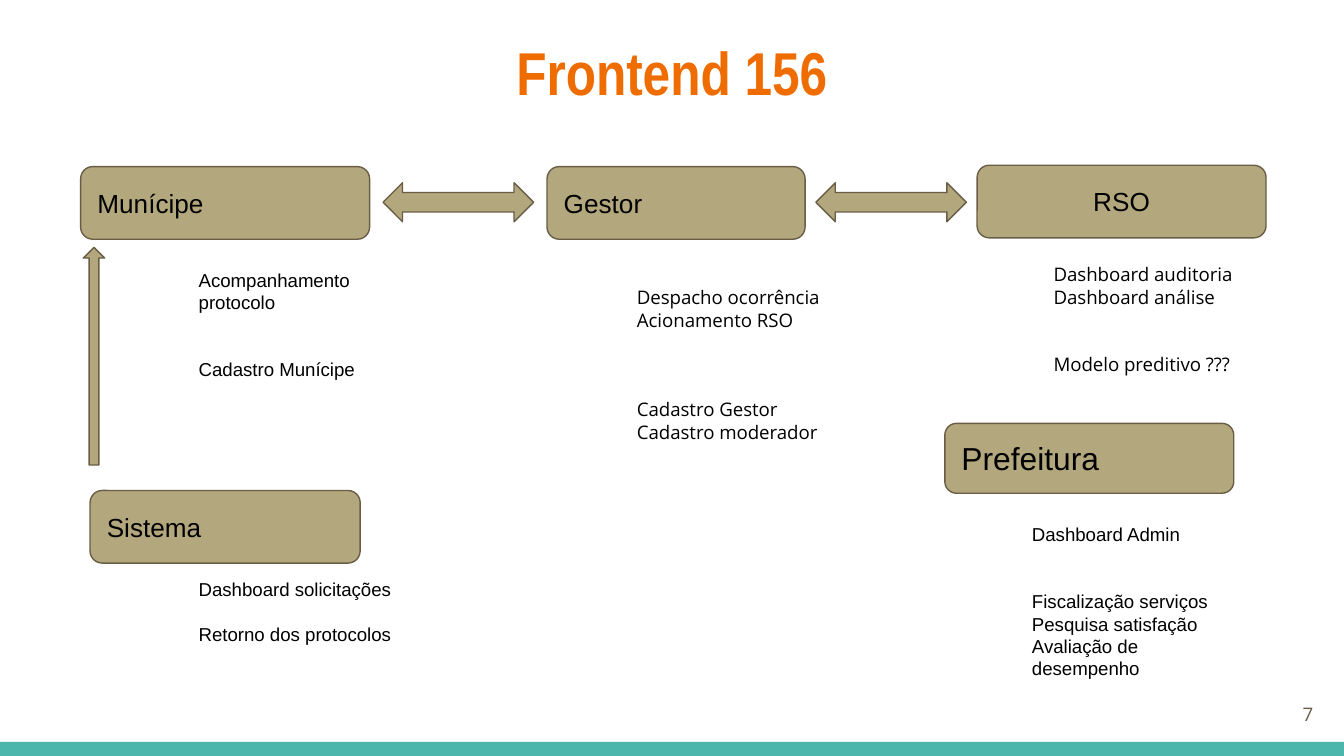
from dataclasses import dataclass

from pptx import Presentation
from pptx.dml.color import RGBColor
from pptx.enum.shapes import MSO_SHAPE
from pptx.enum.text import MSO_ANCHOR, PP_ALIGN
from pptx.util import Inches, Pt

TAN, BROWN, TEAL, ORANGE, BLACK = "B3A77D", "695D46", "4DB6AC", "EF6C00", "000000"
LINE_HEIGHT = 12  # points


@dataclass
class Actor:
    name: str
    left: float
    top: float
    width: float
    height: float = 0.54
    size: float = 14
    align: PP_ALIGN = PP_ALIGN.LEFT


@dataclass
class Features:
    left: float
    top: float
    width: float
    height: float
    font: str
    lines: list[tuple[str, int]]  # text, empty lines above it


@dataclass
class Arrow:
    kind: MSO_SHAPE
    left: float
    top: float
    width: float
    height: float
    shaft: float = 0.5


ACTORS = [
    Actor("Sistema", 0.67, 3.65, 2.01),
    Actor("Munícipe", 0.6, 1.24, 2.15),
    Actor("Gestor", 4.07, 1.24, 1.92),
    Actor("Prefeitura", 7.03, 3.15, 2.15, height=0.52, size=17),
    Actor("RSO", 7.27, 1.23, 2.15, align=PP_ALIGN.CENTER),
]
ARROWS = [
    Arrow(MSO_SHAPE.UP_ARROW, 0.62, 1.84, 0.16, 1.62, shaft=0.45),
    Arrow(MSO_SHAPE.LEFT_RIGHT_ARROW, 2.85, 1.36, 1.12, 0.29),
    Arrow(MSO_SHAPE.LEFT_RIGHT_ARROW, 6.07, 1.36, 1.12, 0.29),
]
FEATURES = [
    Features(1.38, 1.9, 1.92, 1.04, "Arial",
             [("Acompanhamento protocolo", 0), ("Cadastro Munícipe", 2)]),
    Features(1.38, 4.2, 1.66, 0.71, "Arial",
             [("Dashboard solicitações", 0), ("Retorno dos protocolos", 1)]),
    Features(7.58, 3.79, 1.82, 1.62, "Arial",
             [("Dashboard Admin", 0), ("Fiscalização serviços", 2),
              ("Pesquisa satisfação", 0), ("Avaliação de desempenho", 0)]),
    Features(7.74, 1.86, 1.82, 1.04, "Open Sans",
             [("Dashboard auditoria", 0), ("Dashboard análise", 0),
              ("Modelo preditivo ???", 2)]),
    Features(4.64, 2.03, 1.66, 1.38, "Open Sans",
             [("Despacho ocorrência", 0), ("Acionamento RSO", 0),
              ("Cadastro Gestor", 3), ("Cadastro moderador", 0)]),
]


def rgb(color: str) -> RGBColor:
    return RGBColor.from_string(color)


def set_up_frame(frame, anchor=MSO_ANCHOR.TOP) -> None:
    frame.word_wrap = True
    frame.vertical_anchor = anchor
    frame.margin_left = frame.margin_right = Inches(0.1)
    frame.margin_top = frame.margin_bottom = Inches(0.1)


def write(para, text: str, *, size: float, font: str = "Arial", color: str = BLACK,
          bold: bool = False, align: PP_ALIGN = PP_ALIGN.LEFT) -> None:
    para.alignment = align
    span = para.add_run()
    span.text = text
    span.font.size = Pt(size)
    span.font.name = font
    span.font.bold = bold
    span.font.color.rgb = rgb(color)


def add_filled(page, kind: MSO_SHAPE, left: float, top: float, width: float,
               height: float, fill: str = TAN, line: str | None = BROWN):
    shape = page.shapes.add_shape(kind, Inches(left), Inches(top),
                                  Inches(width), Inches(height))
    shape.shadow.inherit = False
    shape.fill.solid()
    shape.fill.fore_color.rgb = rgb(fill)
    if line:
        shape.line.color.rgb = rgb(line)
        shape.line.width = Pt(0.75)
    else:
        shape.line.fill.background()
    return shape


def add_text_box(page, left: float, top: float, width: float, height: float,
                 anchor=MSO_ANCHOR.TOP):
    box = page.shapes.add_textbox(Inches(left), Inches(top),
                                  Inches(width), Inches(height))
    set_up_frame(box.text_frame, anchor)
    return box.text_frame


def add_actor(page, actor: Actor) -> None:
    box = add_filled(page, MSO_SHAPE.ROUNDED_RECTANGLE, actor.left, actor.top,
                     actor.width, actor.height)
    set_up_frame(box.text_frame, MSO_ANCHOR.MIDDLE)
    write(box.text_frame.paragraphs[0], actor.name, size=actor.size, align=actor.align)


def add_features(page, features: Features) -> None:
    frame = add_text_box(page, features.left, features.top,
                         features.width, features.height)
    for index, (text, gap) in enumerate(features.lines):
        para = frame.add_paragraph() if index else frame.paragraphs[0]
        para.line_spacing = Pt(LINE_HEIGHT)
        para.space_before = Pt(gap * LINE_HEIGHT)
        write(para, text, size=10, font=features.font)


def add_arrow(page, arrow: Arrow) -> None:
    shape = add_filled(page, arrow.kind, arrow.left, arrow.top, arrow.width, arrow.height)
    shape.adjustments[0] = arrow.shaft
    shape.adjustments[1] = 0.5


def main() -> None:
    deck = Presentation()
    deck.slide_width = Inches(10)
    deck.slide_height = Inches(10) * 9 // 16  # widescreen
    page = deck.slides.add_slide(deck.slide_layouts[5])

    # Bottom band and title
    add_filled(page, MSO_SHAPE.RECTANGLE, 0, 5.52, 10, 0.11, fill=TEAL, line=None)
    title = page.shapes.title
    title.left, title.top = Inches(0.34), Inches(0.16)
    title.width, title.height = Inches(9.32), Inches(0.68)
    set_up_frame(title.text_frame)
    write(title.text_frame.paragraphs[0], "Frontend 156", size=32.4,
          font="Arial Narrow", color=ORANGE, bold=True, align=PP_ALIGN.CENTER)

    # Actors, the flows between them and what each one does
    for actor in ACTORS:
        add_actor(page, actor)
    for arrow in ARROWS:
        add_arrow(page, arrow)
    for features in FEATURES:
        add_features(page, features)

    # Page number
    number = add_text_box(page, 9.27, 5.1, 0.6, 0.43, MSO_ANCHOR.MIDDLE)
    write(number.paragraphs[0], "7", size=10, font="Open Sans", color=BROWN,
          align=PP_ALIGN.RIGHT)

    deck.save("out.pptx")


if __name__ == "__main__":
    main()
